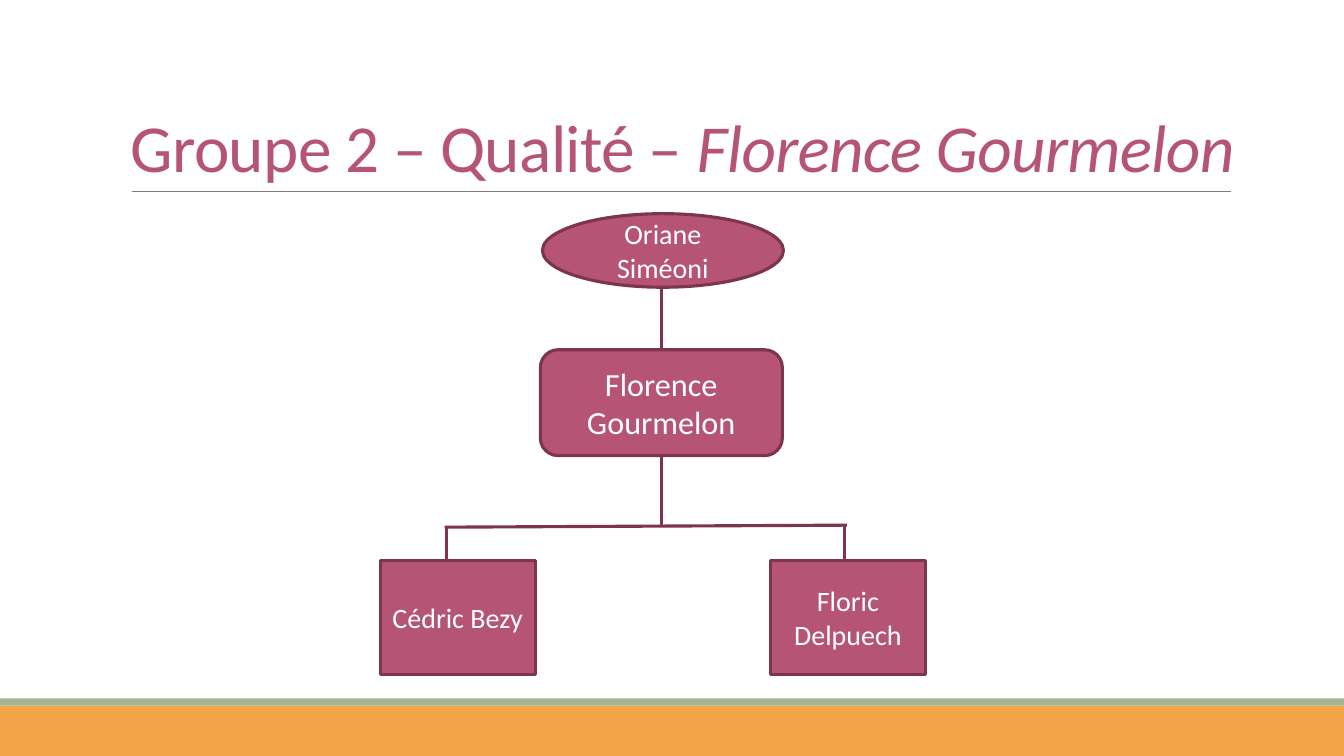
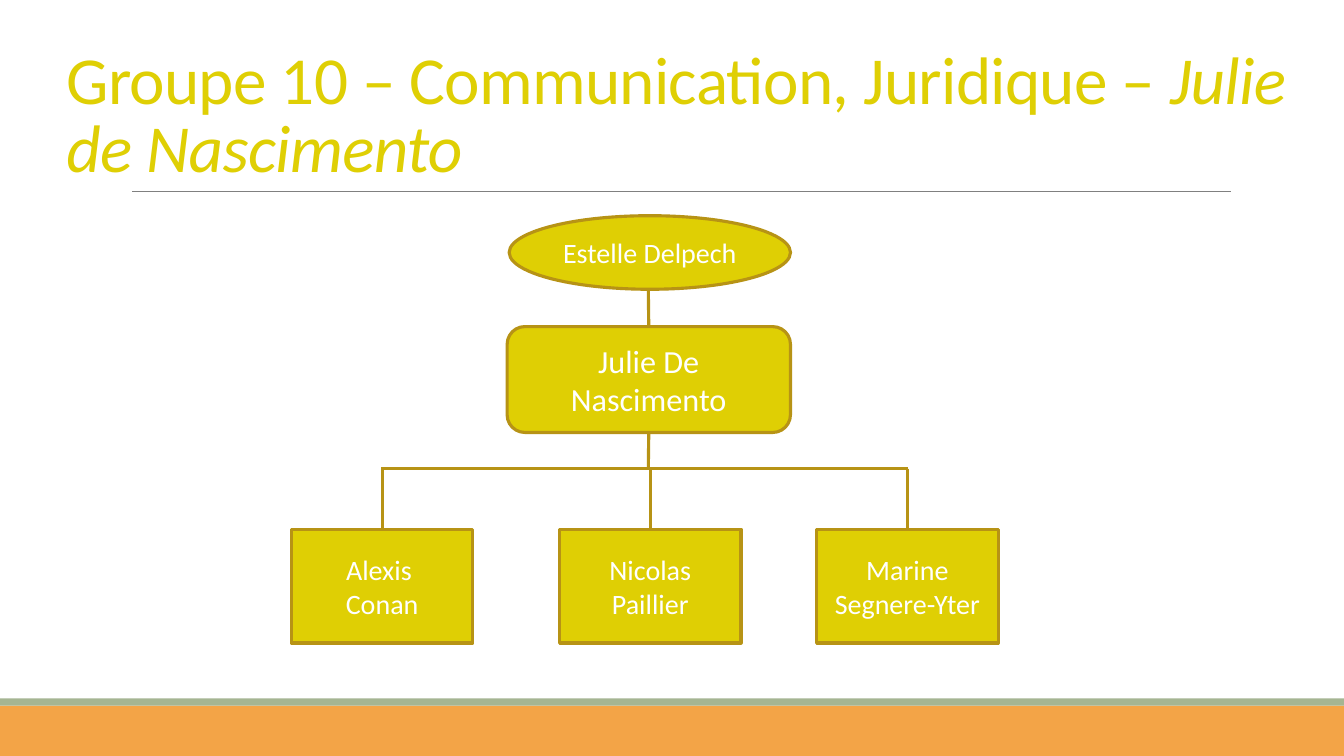
from dataclasses import dataclass

from lxml.etree import SubElement
from pptx import Presentation
from pptx.dml.color import RGBColor
from pptx.enum.shapes import MSO_CONNECTOR as Line, MSO_SHAPE as Form
from pptx.enum.text import MSO_ANCHOR as Anchor, PP_ALIGN as Align
from pptx.oxml.ns import qn
from pptx.util import Emu, Pt

PX = 9144  # one px is 1/100 inch
WIDTH, HEIGHT = 1333, 750
FONT = "Calibri"
COLORS = {
    "orange": "F3A447", "sage": "A5B592", "rule": "808080", "text": "FFFFFF",
    "rose": "B55475", "rose_edge": "7C354D",
    "yellow": "DFCF04", "yellow_edge": "B79315",
}
TOP, BOTTOM = 0, 2  # connection sites of a rectangle


@dataclass(frozen=True)
class Box:
    left: int
    top: int
    width: int
    height: int

    @property
    def center(self) -> int:
        return self.left + self.width // 2

    @property
    def bottom(self) -> int:
        return self.top + self.height


@dataclass(frozen=True)
class Person:
    name: str
    box: Box
    drop_shift: int = 0  # distance of the line above from the box centre


@dataclass(frozen=True)
class Team:
    color: str
    subject: str
    lead_name: str
    title_box: Box
    sponsor: Person
    lead: Person
    members: tuple[Person, ...]
    bus: tuple[int, int, int, int]  # x1, y1, x2, y2


TEAMS = (
    Team(
        "rose", "Groupe 2 – Qualité – ", "Florence Gourmelon", Box(120, 31, 1135, 159),
        Person("Oriane Siméoni", Box(538, 212, 239, 73)),
        Person("Florence Gourmelon", Box(536, 347, 240, 105)),
        (Person("Cédric Bezy", Box(377, 556, 154, 113), -11),
         Person("Floric Delpuech", Box(764, 556, 154, 113), -3)),
        (441, 523, 840, 521),
    ),
    Team(
        "yellow", "Groupe 10 – Communication, Juridique – ", "Julie de Nascimento",
        Box(56, 31, 1241, 159),
        Person("Estelle Delpech", Box(505, 214, 279, 73)),
        Person("Julie De Nascimento", Box(503, 324, 281, 105)),
        (Person("Alexis \nConan", Box(289, 525, 180, 113)),
         Person("Nicolas Paillier", Box(555, 525, 180, 113)),
         Person("Marine\nSegnere-Yter", Box(810, 525, 180, 113))),
        (378, 465, 901, 465),
    ),
)


def px(*lengths: int) -> list[Emu]:
    return [Emu(length * PX) for length in lengths]


def rgb(color: str) -> RGBColor:
    return RGBColor.from_string(COLORS[color])


def write(frame, *paragraphs: str, size: float, color: str, align=Align.LEFT,
          anchor=Anchor.MIDDLE, line_spacing: float = 1.0, tracking: float = 0,
          italic_tail: str = "") -> None:
    """Fill a text frame; italic_tail closes the last paragraph in italics."""
    frame.word_wrap = True
    frame.vertical_anchor = anchor
    for index, text in enumerate(paragraphs):
        paragraph = frame.add_paragraph() if index else frame.paragraphs[0]
        paragraph.alignment = align
        paragraph.line_spacing = line_spacing
        tail = italic_tail if index == len(paragraphs) - 1 else ""
        for words, italic in ((text, False), (tail, True)):
            if not words:
                continue
            run = paragraph.add_run()
            run.text = words
            run.font.name, run.font.size = FONT, Pt(size)
            run.font.italic = italic
            run.font.color.rgb = rgb(color)
            if tracking:
                run._r.get_or_add_rPr().set("spc", str(int(tracking * 100)))


def add_form(slide, form: Form, box: Box, fill: str, edge: str = ""):
    shape = slide.shapes.add_shape(form, *px(box.left, box.top, box.width, box.height))
    shape.shadow.inherit = False
    shape.fill.solid()
    shape.fill.fore_color.rgb = rgb(fill)
    if edge:
        shape.line.color.rgb = rgb(edge)
        shape.line.width = Pt(2.25)
    else:
        shape.line.fill.background()
    return shape


def add_line(slide, x1: int, y1: int, x2: int, y2: int, color: str, width: float = 2.25):
    line = slide.shapes.add_connector(Line.STRAIGHT, *px(x1, y1, x2, y2))
    line.line.color.rgb = rgb(color)
    line.line.width = Pt(width)
    SubElement(line._element.spPr, qn("a:effectLst"))
    return line


def add_person(slide, person: Person, form: Form, color: str, size: float = 20):
    shape = add_form(slide, form, person.box, color, color + "_edge")
    write(shape.text_frame, *person.name.split("\n"), size=size, color="text",
          align=Align.CENTER)
    return shape


def draw_frame(slide, team: Team) -> None:
    # Footer bands, title and rule
    add_form(slide, Form.RECTANGLE, Box(0, 700, WIDTH, 50), "orange")
    add_form(slide, Form.RECTANGLE, Box(0, 693, WIDTH, 7), "sage")
    add_line(slide, 131, 190, 1221, 190, "rule", 0.5)
    box = team.title_box
    title = slide.shapes.add_textbox(*px(box.left, box.top, box.width, box.height))
    write(title.text_frame, team.subject, italic_tail=team.lead_name, size=48,
          color=team.color, anchor=Anchor.BOTTOM, line_spacing=0.85, tracking=-0.5)


def draw_team(slide, team: Team) -> None:
    edge = team.color + "_edge"
    x1, y1, x2, y2 = team.bus
    bus_y = (y1 + y2) // 2

    # Sponsor and lead
    add_person(slide, team.sponsor, Form.OVAL, team.color)
    lead = add_person(slide, team.lead, Form.ROUNDED_RECTANGLE, team.color, 23)
    lead_box = team.lead.box
    link = add_line(slide, lead_box.center, team.sponsor.box.bottom,
                    lead_box.center, lead_box.top, edge)
    link.end_connect(lead, TOP)

    # Trunk and bus
    trunk = add_line(slide, lead_box.center, lead_box.bottom, lead_box.center, bus_y, edge)
    trunk.begin_connect(lead, BOTTOM)
    add_line(slide, x1, y1, x2, y2, edge)

    # Members, each hanging from the bus
    for member in team.members:
        card = add_person(slide, member, Form.RECTANGLE, team.color)
        x = member.box.center + member.drop_shift
        drop = add_line(slide, x, bus_y, x, member.box.top, edge)
        if not member.drop_shift:
            drop.end_connect(card, TOP)


def main() -> None:
    deck = Presentation()
    deck.slide_width, deck.slide_height = px(WIDTH, HEIGHT)
    blank = deck.slide_layouts[6]
    for team in TEAMS:
        slide = deck.slides.add_slide(blank)
        draw_frame(slide, team)
        draw_team(slide, team)
    deck.save("out.pptx")


if __name__ == "__main__":
    main()
